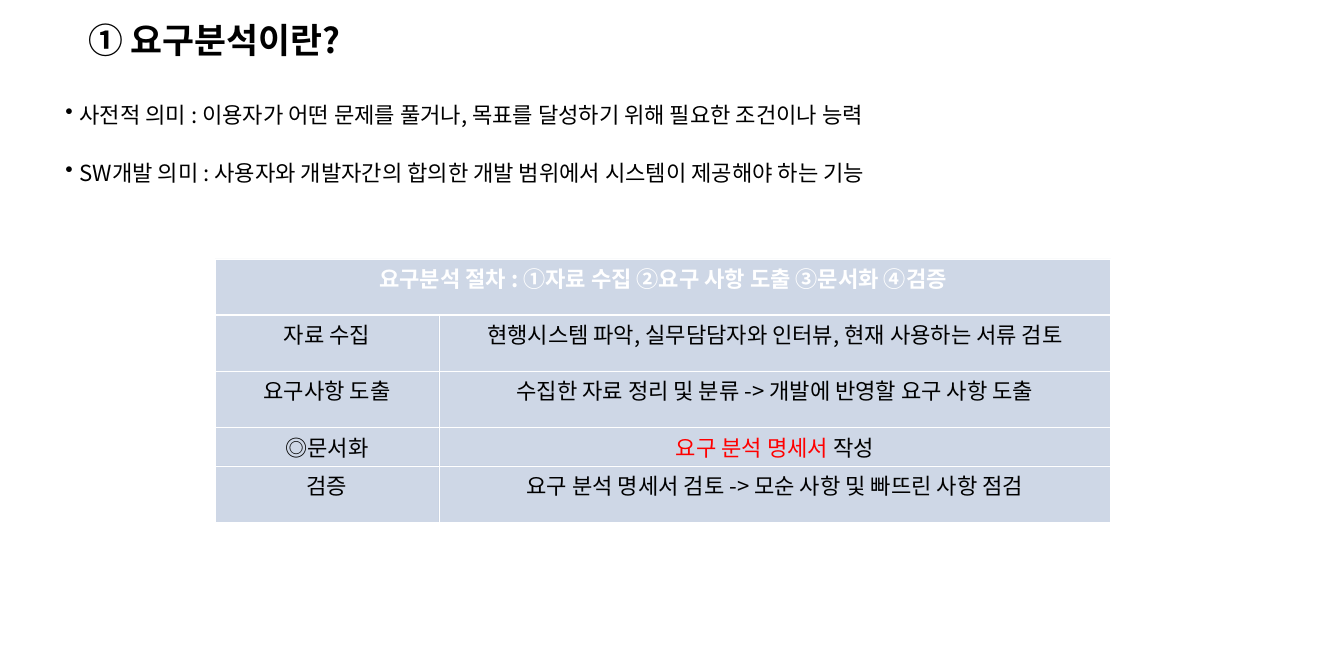
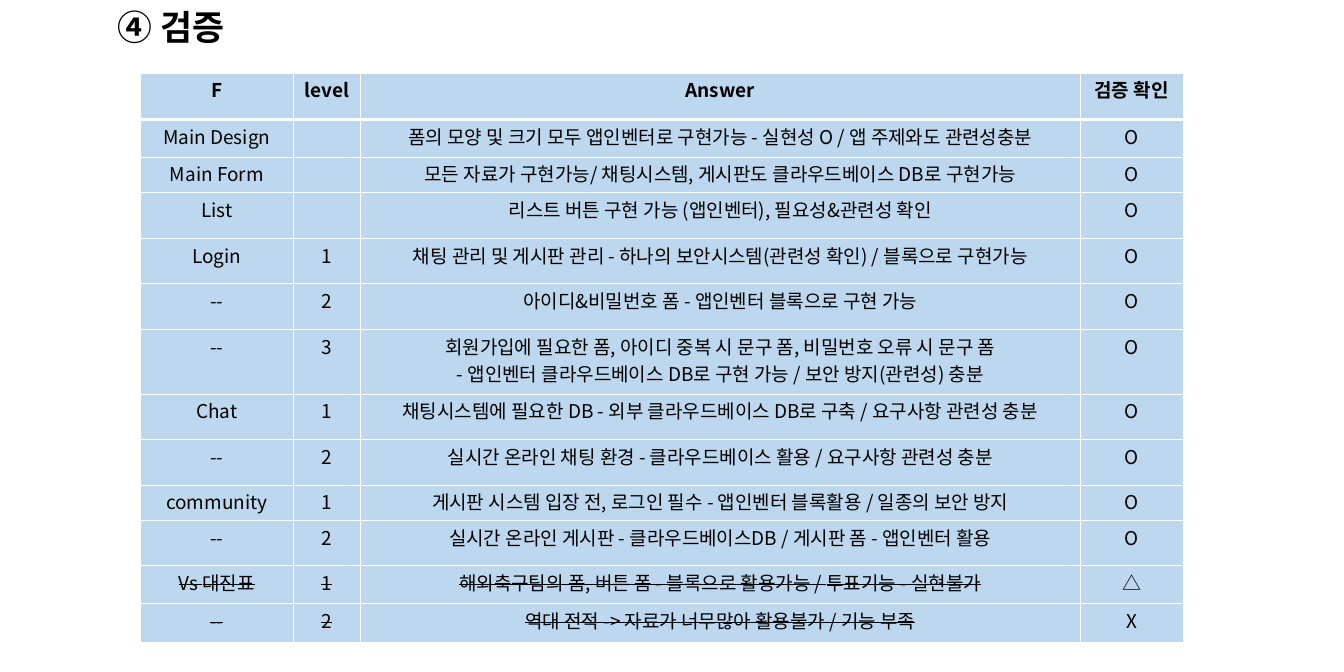
from lxml import etree
from pptx import Presentation
from pptx.dml.color import RGBColor
from pptx.enum.text import MSO_ANCHOR, PP_ALIGN
from pptx.oxml.ns import qn
from pptx.util import Inches, Pt

CENTER, LEFT = PP_ALIGN.CENTER, PP_ALIGN.LEFT
TOP, MIDDLE = MSO_ANCHOR.TOP, MSO_ANCHOR.MIDDLE

WIDTH, HEIGHT = Inches(23.62), Inches(11.81)
FONT = "Noto Sans CJK KR"
BLACK = RGBColor(0x00, 0x00, 0x00)
WHITE = RGBColor(0xFF, 0xFF, 0xFF)
RED = RGBColor(0xFF, 0x00, 0x00)
NAVY = RGBColor(0x2F, 0x55, 0x97)
SKY = RGBColor(0xBD, 0xD7, 0xEE)

MEANINGS = [
    "사전적 의미 : 이용자가 어떤 문제를 풀거나, 목표를 달성하기 위해 필요한 조건이나 능력",
    "SW개발 의미 : 사용자와 개발자간의 합의한 개발 범위에서 시스템이 제공해야 하는 기능",
]
STEPS_HEADER = "요구분석 절차 : ①자료 수집 ②요구 사항 도출 ③문서화 ④검증"
STEPS = [
    (8.38, "자료 수집", "현행시스템 파악, 실무담담자와 인터뷰, 현재 사용하는 서류 검토"),
    (8.38, "요구사항 도출", "수집한 자료 정리 및 분류 -> 개발에 반영할 요구 사항 도출"),
    (5.67, "◎문서화", [("요구 분석 명세서", RED), (" 작성", BLACK)]),
    (8.38, "검증", "요구 분석 명세서 검토 -> 모순 사항 및 빠뜨린 사항 점검"),
]
CHECK_HEADER = ("F", "level", "Answer", "검증 확인")
CHECKS = [
    (5.59, "Main Design", "", "폼의 모양 및 크기 모두 앱인벤터로 구현가능 - 실현성 O / 앱 주제와도 관련성충분", "O"),
    (5.33, "Main Form", "", "모든 자료가 구현가능/ 채팅시스템, 게시판도 클라우드베이스 DB로 구현가능", "O"),
    (6.77, "List", "", "리스트 버튼 구현 가능 (앱인벤터), 필요성&관련성 확인", "O"),
    (6.77, "Login", "1", "채팅 관리 및 게시판 관리 - 하나의 보안시스템(관련성 확인) / 블록으로 구현가능", "O"),
    (6.77, "--", "2", "아이디&비밀번호 폼 - 앱인벤터 블록으로 구현 가능", "O"),
    (9.65, "--", "3", "회원가입에 필요한 폼, 아이디 중복 시 문구 폼, 비밀번호 오류 시 문구 폼\n"
                      "- 앱인벤터 클라우드베이스 DB로 구현 가능 / 보안 방지(관련성) 충분", "O"),
    (6.77, "Chat", "1", "채팅시스템에 필요한 DB - 외부 클라우드베이스 DB로 구축 / 요구사항 관련성 충분", "O"),
    (6.77, "--", "2", "실시간 온라인 채팅 환경 - 클라우드베이스 활용 / 요구사항 관련성 충분", "O"),
    (5.25, "community", "1", "게시판 시스템 입장 전, 로그인 필수 - 앱인벤터 블록활용 / 일종의 보안 방지", "O"),
    (6.77, "--", "2", "실시간 온라인 게시판 - 클라우드베이스DB / 게시판 폼 - 앱인벤터 활용", "O"),
    (5.59, "Vs 대진표", "1", "해외축구팀의 폼, 버튼 폼 - 블록으로 활용가능 / 투표기능 - 실현불가", "△"),
    (5.76, "--", "2", "역대 전적 -> 자료가 너무많아 활용불가 / 기능 부족", "X"),
]


def across(percent):
    return round(WIDTH * percent / 100)


def down(percent):
    return round(HEIGHT * percent / 100)


def add_run(p, text, size, color, bold=False, strike=False):
    r = p.add_run()
    r.text = text
    style = {"name": FONT, "size": Pt(size), "bold": bold}
    for name, value in style.items():
        setattr(r.font, name, value)
    r.font.color.rgb = color
    props = r.font._element
    etree.SubElement(props, qn("a:ea")).set("typeface", FONT)
    if strike:
        props.set("strike", "sngStrike")


def add_text_box(s, left, top, width, height, anchor):
    shape = s.shapes.add_textbox(across(left), down(top), across(width), down(height))
    tf = shape.text_frame
    tf.word_wrap = True
    tf.vertical_anchor = anchor
    return tf


def add_title(s, text, left, top, width, height, align):
    p = add_text_box(s, left, top, width, height, MIDDLE).paragraphs[0]
    p.alignment = align
    p.line_spacing = 0.9
    add_run(p, text, 44, BLACK, bold=True)


def add_bullets(s, items, left, top, width, height):
    tf = add_text_box(s, left, top, width, height, TOP)
    for i, item in enumerate(items):
        p = tf.add_paragraph() if i else tf.paragraphs[0]
        props = p._p.get_or_add_pPr()
        props.set("marL", str(Inches(0.25)))
        props.set("indent", str(-Inches(0.25)))
        etree.SubElement(props, qn("a:buChar")).set("char", "•")
        p.line_spacing = 0.9
        if i:
            p.space_before = Pt(43)
        add_run(p, item, 28, BLACK)


def add_borders(cell, widths):
    props = cell._tc.get_or_add_tcPr()
    for side, width in widths.items():
        line = etree.SubElement(props, qn(f"a:ln{side}"), w=str(Pt(width)))
        fill = etree.SubElement(line, qn("a:solidFill"))
        etree.SubElement(fill, qn("a:srgbClr")).set("val", str(WHITE))


def fill_cell(cell, color, opacity):
    cell.fill.solid()
    cell.fill.fore_color.rgb = color
    if opacity < 100:
        value = cell._tc.tcPr.find(f"{qn('a:solidFill')}/{qn('a:srgbClr')}")
        etree.SubElement(value, qn("a:alpha")).set("val", str(opacity * 1000))


def write_cell(cell, content, size, color, bold, strike):
    lines = content.split("\n") if isinstance(content, str) else [content]
    for i, line in enumerate(lines):
        p = cell.text_frame.add_paragraph() if i else cell.text_frame.paragraphs[0]
        p.alignment = CENTER
        runs = [(line, color)] if isinstance(line, str) else line
        for text, run_color in runs:
            if text:
                add_run(p, text, size, run_color, bold, strike)


def add_grid(s, left, top, columns, rows, size, fill, opacity=100,
             header_color=BLACK, struck=()):
    frame = s.shapes.add_table(len(rows), len(columns), across(left), down(top),
                               across(sum(columns)), down(sum(row[0] for row in rows)))
    table = frame.table
    table.horz_banding = False
    for column, share in zip(table.columns, columns):
        column.width = across(share)
    for i, (share, *contents) in enumerate(rows):
        table.rows[i].height = down(share)
        header = i == 0
        borders = {"L": 1, "R": 1, "T": 1, "B": 3} if header else {"L": 1, "R": 1, "B": 1}
        for j, cell in enumerate(table.rows[i].cells):
            add_borders(cell, borders)
            fill_cell(cell, fill, opacity)
            if j < len(contents):
                write_cell(cell, contents[j], size, header_color if header else BLACK,
                           header, (i, j) in struck)
    return table


def build_definition(s):
    add_title(s, "① 요구분석이란?", 6.14, 0.76, 48.69, 11.09, LEFT)
    add_bullets(s, MEANINGS, 4.45, 15.07, 91.96, 80.19)
    table = add_grid(s, 16, 38.53, [16.66, 49.98], [(8.38, STEPS_HEADER), *STEPS], 28,
                     NAVY, opacity=23, header_color=WHITE)
    table.cell(0, 0).merge(table.cell(0, 1))


def build_verification(s):
    add_title(s, "④ 검증", 7.54, 0.59, 10.37, 7.62, CENTER)
    struck = {(i, j) for i, row in enumerate(CHECKS, 1) if row[-1] != "O" for j in range(3)}
    add_grid(s, 10.46, 10.84, [11.35, 5, 53.56, 7.66], [(6.94, *CHECK_HEADER), *CHECKS],
             24, SKY, struck=struck)


def main():
    prs = Presentation()
    prs.slide_width, prs.slide_height = WIDTH, HEIGHT
    for build in (build_definition, build_verification):
        build(prs.slides.add_slide(prs.slide_layouts[6]))
    prs.save("out.pptx")


if __name__ == "__main__":
    main()
